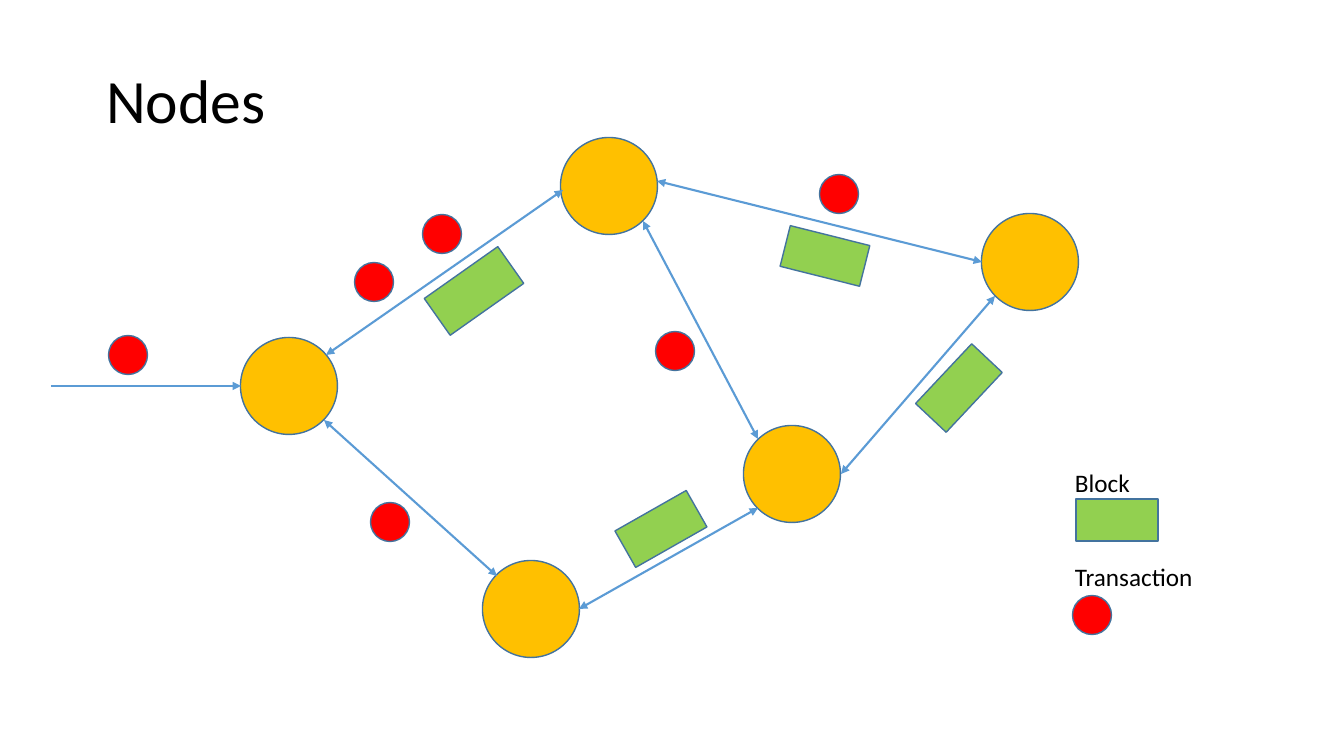
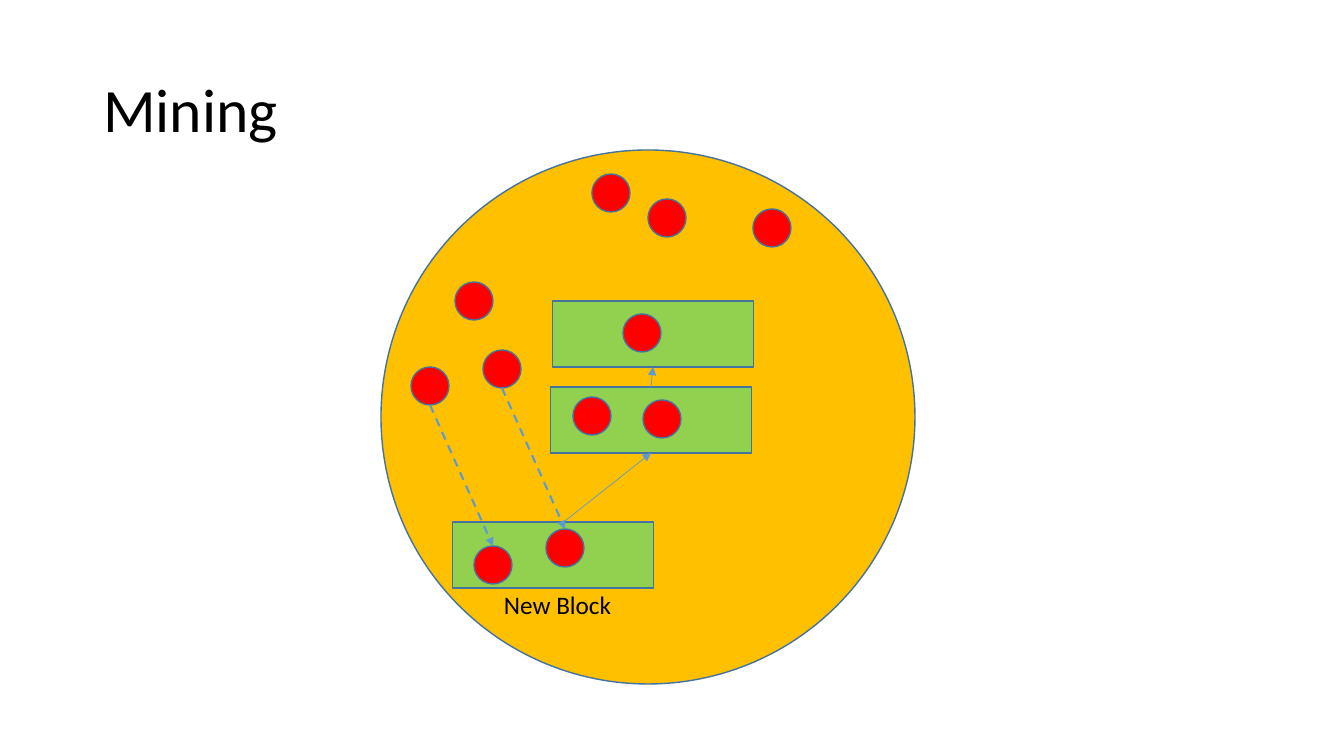
from lxml import etree
from pptx import Presentation
from pptx import util as u
from pptx.dml.color import RGBColor
from pptx.enum import dml, shapes, text
from pptx.oxml.ns import qn

PIXEL = 914400 / 100.8
FONT = "Calibri"
COLORS = {
    "text": "000000",
    "node": "FFC000",
    "transaction": "FF0000",
    "block": "92D050",
    "outline": "43739E",
    "link": "5B9BD5",
}


def px(length):
    return u.Emu(round(length * PIXEL))


def color(name):
    return RGBColor.from_string(COLORS[name])


def write(frame, content, size=18, spacing=1.0, anchor=text.MSO_ANCHOR.TOP, wrap=False,
          fit=text.MSO_AUTO_SIZE.SHAPE_TO_FIT_TEXT):
    frame.text = content
    frame.word_wrap = wrap
    frame.auto_size = fit
    frame.vertical_anchor = anchor
    paragraph = frame.paragraphs[0]
    paragraph.alignment = text.PP_ALIGN.LEFT
    paragraph.line_spacing = spacing
    font = paragraph.runs[0].font
    font.name, font.size = FONT, u.Pt(size)
    font.color.rgb = color("text")


class Deck:
    def __init__(self):
        self.presentation = Presentation()
        self.presentation.slide_width = px(1344)
        self.presentation.slide_height = px(756)
        self.slide = None

    def add_slide(self, title, left, top):
        layout = self.presentation.slide_layouts[5]
        self.slide = self.presentation.slides.add_slide(layout)
        shape = self.slide.shapes.title
        shape.left, shape.top = px(left), px(top)
        shape.width, shape.height = px(1159), px(146)
        write(shape.text_frame, title, size=44, spacing=0.9, wrap=True,
              anchor=text.MSO_ANCHOR.MIDDLE, fit=text.MSO_AUTO_SIZE.NONE)

    def centered(self, kind, center, width, height, fill, rotation=0):
        x, y = center
        shape = self.slide.shapes.add_shape(
            kind, px(x - width / 2), px(y - height / 2), px(width), px(height))
        shape.rotation = rotation
        shape.shadow.inherit = False
        shape.fill.solid()
        shape.fill.fore_color.rgb = color(fill)
        shape.line.color.rgb = color("outline")
        shape.line.width = u.Pt(1)

    def node(self, center, diameter=97):
        self.centered(shapes.MSO_SHAPE.OVAL, center, diameter, diameter, "node")

    def transaction(self, center, diameter=39):
        self.centered(shapes.MSO_SHAPE.OVAL, center, diameter, diameter, "transaction")

    def block(self, center, width=82, height=42, rotation=0):
        self.centered(shapes.MSO_SHAPE.RECTANGLE, center, width, height, "block", rotation)

    def arrow(self, start, end, both=False, width=1.5, dashed=False):
        connector = self.slide.shapes.add_connector(
            shapes.MSO_CONNECTOR.STRAIGHT, *map(px, (*start, *end)))
        connector.line.color.rgb = color("link")
        connector.line.width = u.Pt(width)
        if dashed:
            connector.line.dash_style = dml.MSO_LINE.DASH
        properties = connector._element.spPr
        outline = properties.find(qn("a:ln"))
        for tag in ("a:headEnd", "a:tailEnd") if both else ("a:tailEnd",):
            etree.SubElement(outline, qn(tag), type="triangle")
        etree.SubElement(properties, qn("a:effectLst"))

    def label(self, content, left, top, width):
        box = self.slide.shapes.add_textbox(px(left), px(top), px(width), px(40))
        write(box.text_frame, content)


deck = Deck()

# Nodes: a network passing blocks and transactions
deck.add_slide("Nodes", 96, 31)
for center in [(609, 186), (289, 386), (531, 609), (792, 474), (1030, 262)]:
    deck.node(center)
for start, end in [
    ((326, 355), (563, 190)),
    ((324, 420), (497, 576)),
    ((579, 609), (758, 508)),
    ((643, 221), (758, 439)),
    ((657, 181), (982, 262)),
    ((841, 474), (995, 296)),
]:
    deck.arrow(start, end, both=True)
deck.arrow((51, 386), (241, 386))
for center in [(442, 234), (374, 282), (390, 522), (675, 351), (839, 194), (128, 355)]:
    deck.transaction(center)
deck.block((474, 291), 90, 45, rotation=324.8)
for center, rotation in [((959, 388), 313.2), ((661, 529), 330.4), ((825, 256), 14.1)]:
    deck.block(center, rotation=rotation)

# Legend
deck.label("Block", 1065, 462, 76)
deck.block((1117, 520))
deck.label("Transaction", 1065, 556, 139)
deck.transaction((1092, 615))

# Mining: one node collecting transactions into a new block
deck.add_slide("Mining", 93, 40)
deck.node((648, 417), 534)
for center in [(653, 334), (651, 420), (553, 555)]:
    deck.block(center, 201, 66)

DOT = 38
loose = [(611, 193), (474, 301), (667, 218), (772, 228)]
confirmed = [(592, 416), (662, 419), (642, 333)]
picked = [((430, 386), (493, 565)), ((502, 369), (565, 548))]
for center in loose + confirmed:
    deck.transaction(center, DOT)
for waiting, mined in picked:
    deck.transaction(waiting, DOT)
    deck.transaction(mined, DOT)
    deck.arrow((waiting[0], waiting[1] + DOT / 2), (mined[0], mined[1] - DOT / 2), dashed=True)

# Links from each block to the one before it
deck.arrow((651, 387), (653, 367), width=0.5)
deck.arrow((565, 521), (651, 453), width=0.5)
deck.label("New Block", 494, 584, 129)

deck.presentation.save("out.pptx")
